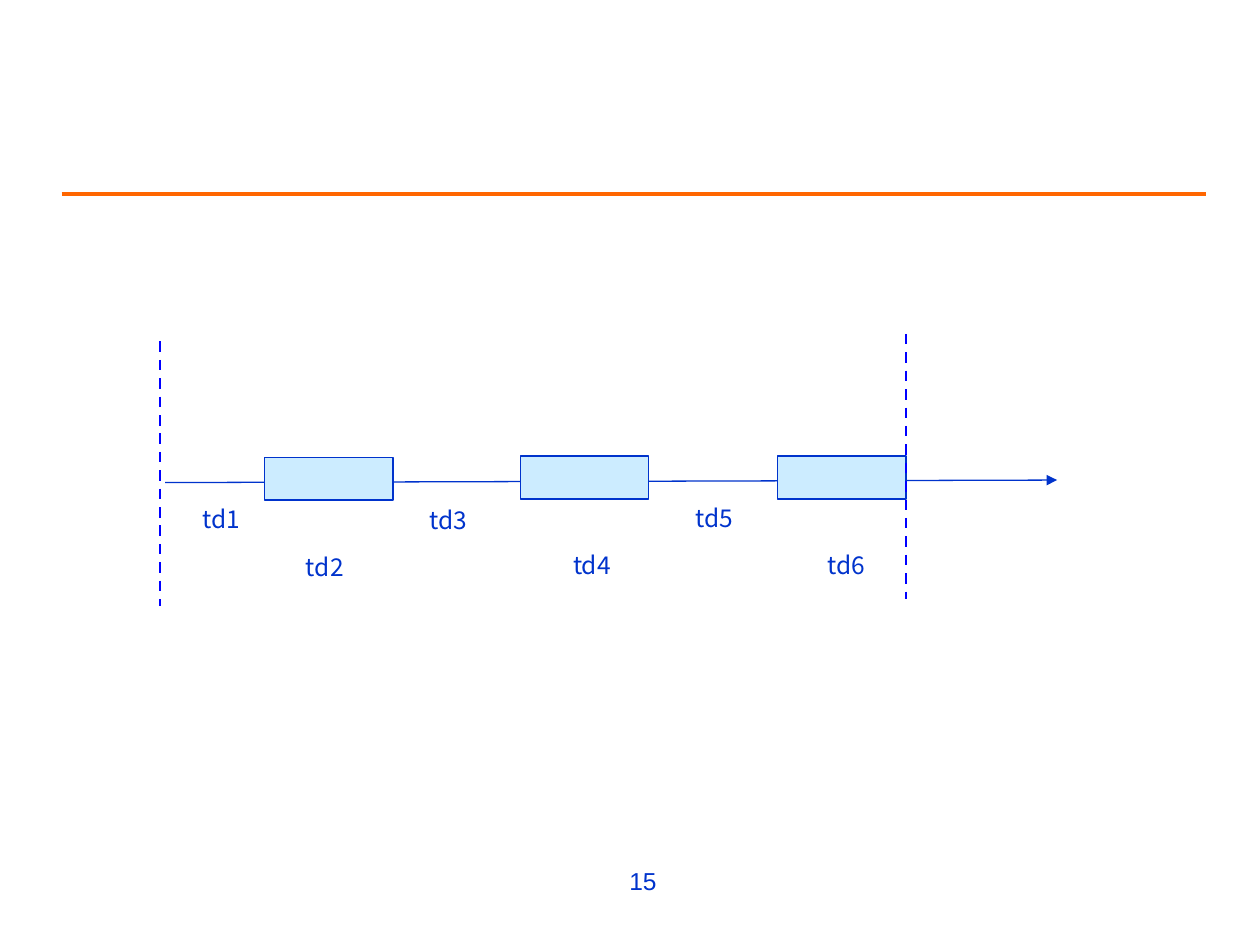
from pptx import Presentation
from pptx.dml.color import RGBColor
from pptx.enum.dml import MSO_LINE
from pptx.enum.shapes import MSO_CONNECTOR, MSO_SHAPE
from pptx.enum.text import MSO_AUTO_SIZE, PP_ALIGN
from pptx.oxml.ns import qn
from pptx.util import Inches, Pt
from lxml import etree

STRAIGHT = MSO_CONNECTOR.STRAIGHT
RECT = MSO_SHAPE.RECTANGLE
DASH = MSO_LINE.DASH
FIT = MSO_AUTO_SIZE.SHAPE_TO_FIT_TEXT
LEFT, RIGHT = PP_ALIGN.LEFT, PP_ALIGN.RIGHT
COLORS = {"rule": "FF6600", "ink": "0033CC", "box": "CCECFF", "mark": "0000FF"}
SANS = "Noto Sans CJK SC"


def color(name):
    """Return the named colour."""
    return RGBColor.from_string(COLORS[name])


def add_line(slide, start, end, name, width, dash=None, arrow=False):
    """Draw a straight line, dashed or with an arrowhead if asked."""
    ends = [Inches(v) for v in (*start, *end)]
    conn = slide.shapes.add_connector(STRAIGHT, *ends)
    conn.line.color.rgb = color(name)
    conn.line.width = Pt(width)
    if dash:
        conn.line.dash_style = dash
    if arrow:
        ln = conn.line._get_or_add_ln()
        etree.SubElement(ln, qn("a:tailEnd"), type="triangle")
    etree.SubElement(conn._element.spPr, qn("a:effectLst"))


def add_box(slide, left, top):
    """Draw one delay box on the time axis."""
    box = slide.shapes.add_shape(
        RECT, Inches(left), Inches(top), Inches(1.02), Inches(0.34))
    box.shadow.inherit = False
    box.fill.solid()
    box.fill.fore_color.rgb = color("box")
    box.line.color.rgb = color("ink")
    box.line.width = Pt(0.75)


def add_text(slide, text, left, top, width=0.5, height=0.34,
             font=SANS, align=LEFT, wrap=False):
    """Place one line of text."""
    box = slide.shapes.add_textbox(
        Inches(left), Inches(top), Inches(width), Inches(height))
    frame = box.text_frame
    frame.word_wrap = wrap
    if not wrap:
        frame.auto_size = FIT
    para = frame.paragraphs[0]
    para.alignment = align
    run = para.add_run()
    run.text = text
    run.font.name = font
    run.font.size = Pt(14)
    run.font.color.rgb = color("ink")


def main():
    """Build the delay timeline slide."""
    prs = Presentation()
    prs.slide_width, prs.slide_height = Inches(10), Inches(7.5)
    slide = prs.slides.add_slide(prs.slide_layouts[6])

    add_line(slide, (0.49, 1.54), (9.57, 1.54), "rule", 2.25)
    add_text(slide, "15", 2.8, 6.82, 2.51, 0.52, "Arial", RIGHT, True)

    add_line(slide, (1.31, 3.83), (8.39, 3.81), "ink", 0.75, arrow=True)
    for left, top in ((2.1, 3.63), (4.13, 3.62), (6.17, 3.62)):
        add_box(slide, left, top)
    for x, top in ((1.27, 2.71), (7.19, 2.65)):
        add_line(slide, (x, top), (x, top + 2.1), "mark", 1.5, DASH)

    spots = ((1.51, 3.95), (2.33, 4.33), (3.31, 3.96),
             (4.45, 4.32), (5.42, 3.94), (6.47, 4.32))
    for num, (left, top) in enumerate(spots, 1):
        add_text(slide, f"td{num}", left, top)

    prs.save("out.pptx")


if __name__ == "__main__":
    main()
